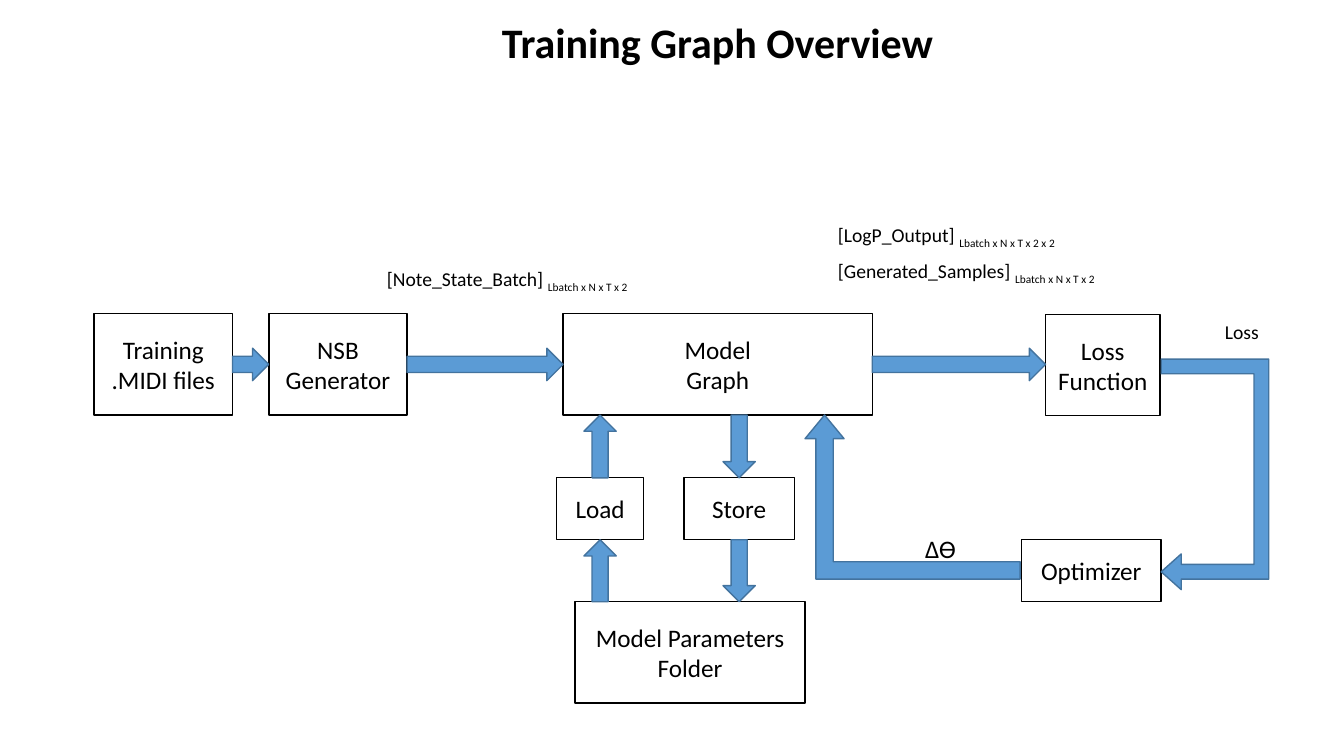
"""Build the training graph overview slide on a grid of 100 columns by 100 rows."""
from pptx import Presentation
from pptx import util as u
from pptx.dml.color import RGBColor
from pptx.enum import shapes, text as t

WIDTH, HEIGHT = u.Inches(13.33), u.Inches(7.5)
COLUMN, ROW = WIDTH / 100, HEIGHT / 100
BLACK = RGBColor(0x00, 0x00, 0x00)
WHITE = RGBColor(0xFF, 0xFF, 0xFF)
BLUE = RGBColor(0x5B, 0x9B, 0xD5)
DARK_BLUE = RGBColor(0x43, 0x73, 0x9E)
FONT = "Calibri"
PRESET = shapes.MSO_SHAPE
ARROW_ROWS, ARROW_COLUMNS = 4.3, 2.4

BOXES = {
    "training": ("Training\n.MIDI files", 7, 41.5, 10.3, 13.4),
    "generator": ("NSB\nGenerator", 20, 41.5, 10.3, 13.4),
    "model": ("Model\nGraph", 41.9, 41.5, 23, 13.4),
    "loss": ("Loss\nFunction", 77.8, 41.6, 8.5, 13.4),
    "optimizer": ("Optimizer", 76, 71.4, 10.4, 8.2),
    "load": ("Load", 41.4, 63.2, 6.5, 8.2),
    "store": ("Store", 50.9, 63.2, 8.2, 8.2),
    "folder": ("Model Parameters\nFolder", 42.8, 79.6, 17.1, 13.4),
}
LABELS = [
    ("[Note_State_Batch] ", "Lbatch x N x T x 2", 28.05, 34.7, 20.9, 14),
    ("[LogP_Output] ", "Lbatch x N x T x 2 x 2", 61.6, 28.9, 23, 14),
    ("[Generated_Samples] ", "Lbatch x N x T x 2", 61.6, 33.6, 23.6, 14),
    ("Loss", "", 90.4, 41.6, 4.8, 14),
    ("Δϴ", "", 68.1, 69.9, 4.1, 18),
]


def frame(left, top, width, height):
    """Turn grid columns and rows into slide lengths."""
    return [u.Emu(round(n)) for n in (left * COLUMN, top * ROW, width * COLUMN, height * ROW)]


def write(shape, text, size=18, bold=False, align=t.PP_ALIGN.LEFT,
          anchor=t.MSO_ANCHOR.TOP, wrap=True, subscript=""):
    """Write text lines into a shape, with an optional subscript at the end."""
    body = shape.text_frame
    body.auto_size = t.MSO_AUTO_SIZE.NONE
    body.word_wrap, body.vertical_anchor = wrap, anchor
    for index, line in enumerate(text.split("\n")):
        para = body.add_paragraph() if index else body.paragraphs[0]
        para.alignment = align
        for part in filter(None, (line, subscript)):
            span = para.add_run()
            span.text = part
            font = span.font
            font.name, font.size, font.bold = FONT, u.Pt(size), bold
            font.color.rgb = BLACK
            if part == subscript:
                span._r.get_or_add_rPr().set("baseline", "-25000")


def paint(shape, fill, line):
    """Give a shape a flat fill and a one-point outline."""
    shape.shadow.inherit = False
    shape.fill.solid()
    shape.fill.fore_color.rgb = fill
    shape.line.color.rgb = line
    shape.line.width = u.Pt(1)


def add_box(page, text, *place):
    """Add a white process box with centred text."""
    box = page.shapes.add_shape(PRESET.RECTANGLE, *frame(*place))
    paint(box, WHITE, BLACK)
    write(box, text, align=t.PP_ALIGN.CENTER, anchor=t.MSO_ANCHOR.MIDDLE)
    return box


def add_label(page, text, subscript, left, top, width, size):
    """Add a free label beside an arrow."""
    box = page.shapes.add_textbox(*frame(left, top, width, size / 3.1))
    write(box, text, size=size, subscript=subscript)


def add_arrow(page, preset, left, top, width, height, turn=0, adjust=()):
    """Add a block arrow that covers the given area after a quarter turn."""
    across, down = (height, width) if turn % 180 else (width, height)
    middle, centre = left + width / 2, top + height / 2
    place = (middle - across / 2, centre - down / 2, across, down)
    arrow = page.shapes.add_shape(preset, *[u.Emu(round(n)) for n in place])
    paint(arrow, BLUE, DARK_BLUE)
    arrow.rotation = turn
    for index, value in enumerate(adjust):
        arrow.adjustments[index] = value


def join_across(page, start, end):
    """Point an arrow from one box to the next on its right."""
    left, thick = start.left + start.width, ARROW_ROWS * ROW
    top = start.top + (start.height - thick) / 2
    add_arrow(page, PRESET.RIGHT_ARROW, left, top, end.left - left, thick)


def join_down(page, upper, lower, guide, turn):
    """Put a vertical arrow between two boxes, centred on the guide box."""
    top, thick = upper.top + upper.height, ARROW_COLUMNS * COLUMN
    left = guide.left + (guide.width - thick) / 2
    add_arrow(page, PRESET.RIGHT_ARROW, left, top, thick, lower.top - top, turn)


def main():
    """Build and save the slide."""
    deck = Presentation()
    deck.slide_width, deck.slide_height = WIDTH, HEIGHT
    page = deck.slides.add_slide(deck.slide_layouts[5])
    title = page.shapes.title
    title.left, title.top, title.width, title.height = frame(36.6, 1.5, 33.9, 8.1)
    write(title, "Training Graph Overview", size=30, bold=True, wrap=False)

    box = {name: add_box(page, *values) for name, values in BOXES.items()}
    for start, end in (("training", "generator"), ("generator", "model"), ("model", "loss")):
        join_across(page, box[start], box[end])
    for guide, turn in (("load", 270), ("store", 90)):
        join_down(page, box["model"], box[guide], box[guide], turn)
        join_down(page, box[guide], box["folder"], box[guide], turn)

    add_arrow(page, PRESET.U_TURN_ARROW, *frame(86.4, 47.5, 8, 30.5), turn=90,
              adjust=(0.137, 0.166, 0.186, 0, 1))
    add_arrow(page, PRESET.BENT_ARROW, *frame(59.9, 54.9, 16, 21.7), turn=270,
              adjust=(0.106, 0.119, 0.144, 0))
    for label in LABELS:
        add_label(page, *label)
    deck.save("out.pptx")


if __name__ == "__main__":
    main()
